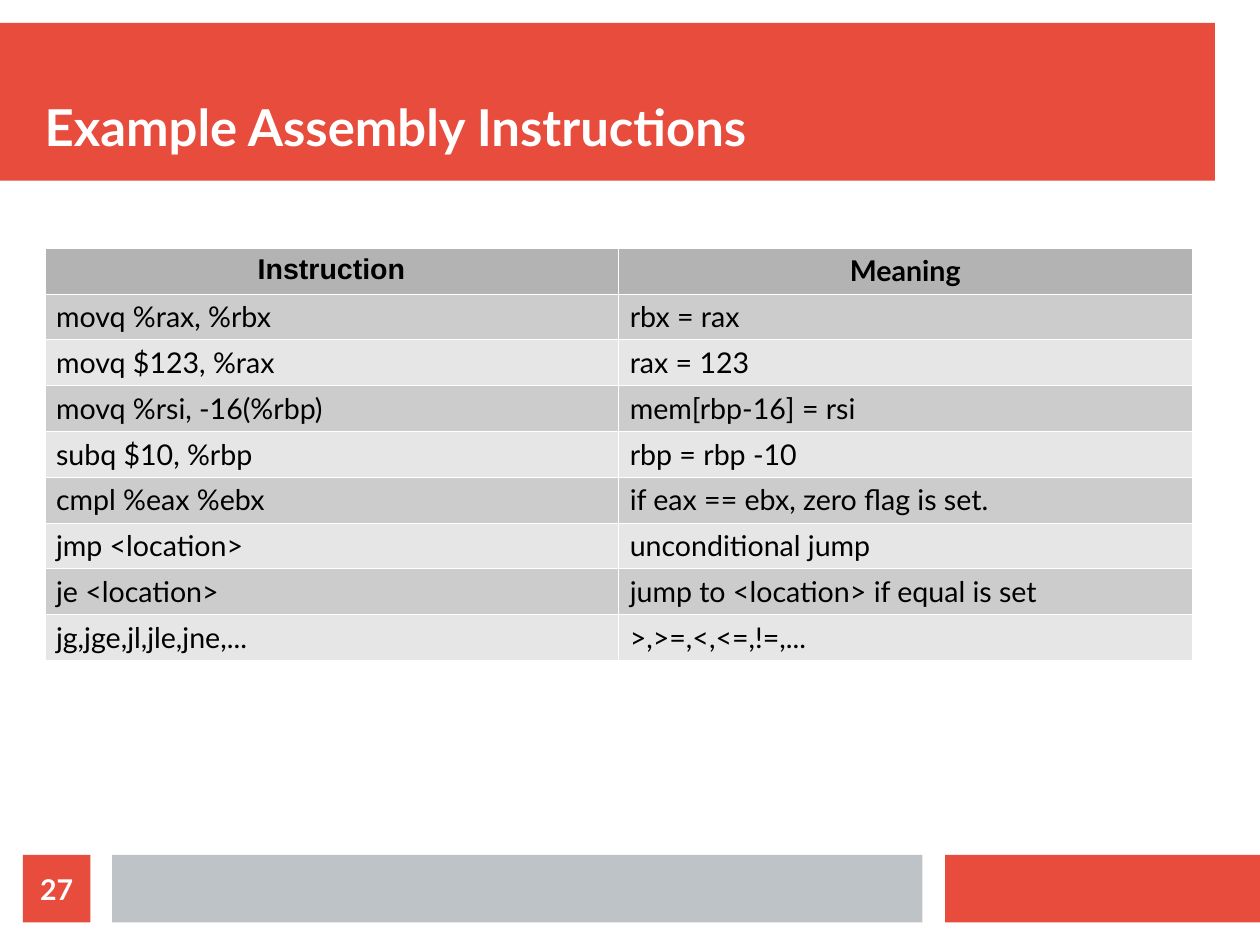
from lxml import etree
from pptx import Presentation
from pptx.dml.color import RGBColor
from pptx.enum.shapes import MSO_SHAPE
from pptx.enum.text import MSO_ANCHOR, PP_ALIGN
from pptx.oxml.ns import qn
from pptx.util import Cm, Inches, Pt

RECTANGLE = MSO_SHAPE.RECTANGLE
BOTTOM, MIDDLE = MSO_ANCHOR.BOTTOM, MSO_ANCHOR.MIDDLE
LEFT, CENTER = PP_ALIGN.LEFT, PP_ALIGN.CENTER

RED = RGBColor(0xE7, 0x4C, 0x3C)
SILVER = RGBColor(0xBD, 0xC3, 0xC7)
WHITE = RGBColor(0xFF, 0xFF, 0xFF)
BLACK = RGBColor(0x00, 0x00, 0x00)
HEADER_GRAY = RGBColor(0xB3, 0xB3, 0xB3)
BAND_GRAYS = [RGBColor(0xCC, 0xCC, 0xCC), RGBColor(0xE6, 0xE6, 0xE6)]

INSTRUCTIONS = [
    ("Instruction", "Meaning"),
    ("movq %rax, %rbx", "rbx = rax"),
    ("movq $123, %rax", "rax = 123"),
    ("movq %rsi, -16(%rbp)", "mem[rbp-16] = rsi"),
    ("subq $10, %rbp", "rbp = rbp -10"),
    ("cmpl %eax %ebx", "if eax == ebx, zero flag is set."),
    ("jmp <location>", "unconditional jump"),
    ("je <location>", "jump to <location> if equal is set"),
    ("jg,jge,jl,jle,jne,...", ">,>=,<,<=,!=,..."),
]


def write_text(text_frame, text, size, color, bold, alignment, font_name="Lato"):
    text_frame.text = text
    paragraph = text_frame.paragraphs[0]
    paragraph.alignment = alignment
    paragraph.font.name = font_name
    paragraph.font.size = Pt(size)
    paragraph.font.bold = bold
    paragraph.font.color.rgb = color


def set_borders(cell, color, width):
    properties = cell._tc.get_or_add_tcPr()
    for side in ("a:lnL", "a:lnR", "a:lnT", "a:lnB"):
        line = etree.SubElement(properties, qn(side), w=str(Pt(width)))
        fill = etree.SubElement(line, qn("a:solidFill"))
        etree.SubElement(fill, qn("a:srgbClr"), val=str(color))


# The page is an exact metric size
presentation = Presentation()
presentation.slide_width = Cm(28)
presentation.slide_height = Cm(21)
slide = presentation.slides.add_slide(presentation.slide_layouts[5])

# Title banner, footer bars and page number box
bars = [
    (0, 0.2, 10.63, 1.38, RED),
    (8.27, 7.48, 2.76, 0.59, RED),
    (0.98, 7.48, 7.09, 0.59, SILVER),
    (0.2, 7.48, 0.59, 0.59, RED),
]
for left, top, width, height, color in bars:
    bar = slide.shapes.add_shape(
        RECTANGLE, Inches(left), Inches(top), Inches(width), Inches(height))
    bar.shadow.inherit = False
    bar.fill.solid()
    bar.fill.fore_color.rgb = color
    bar.line.fill.background()
page_box = bar

# Title, brought in front of the banner
title = slide.shapes.title
title.left, title.top = Inches(0.39), Inches(0.39)
title.width, title.height = Inches(10.24), Inches(0.98)
write_text(title.text_frame, "Example Assembly Instructions", 32, WHITE, True, LEFT)
title.text_frame.vertical_anchor = BOTTOM
slide.shapes.element.append(title.element)

# Page number
write_text(page_box.text_frame, "27", 18, WHITE, True, CENTER)
page_box.text_frame.vertical_anchor = MIDDLE

for text_frame in (title.text_frame, page_box.text_frame):
    text_frame.margin_left = text_frame.margin_right = 0
    text_frame.margin_top = text_frame.margin_bottom = 0

# Instruction table
table = slide.shapes.add_table(
    len(INSTRUCTIONS), 2, Inches(0.39), Inches(2.17), Inches(10.04), Inches(3.6)).table
for row_index, texts in enumerate(INSTRUCTIONS):
    table.rows[row_index].height = Inches(0.4)
    is_header = row_index == 0
    for column_index, text in enumerate(texts):
        cell = table.cell(row_index, column_index)
        font_name = "Arial" if is_header and column_index == 0 else "Lato"
        write_text(cell.text_frame, text, 18, BLACK, is_header,
                   CENTER if is_header else LEFT, font_name)
        set_borders(cell, WHITE, 0.06)
        cell.fill.solid()
        cell.fill.fore_color.rgb = (
            HEADER_GRAY if is_header else BAND_GRAYS[(row_index - 1) % 2])

presentation.save("out.pptx")
